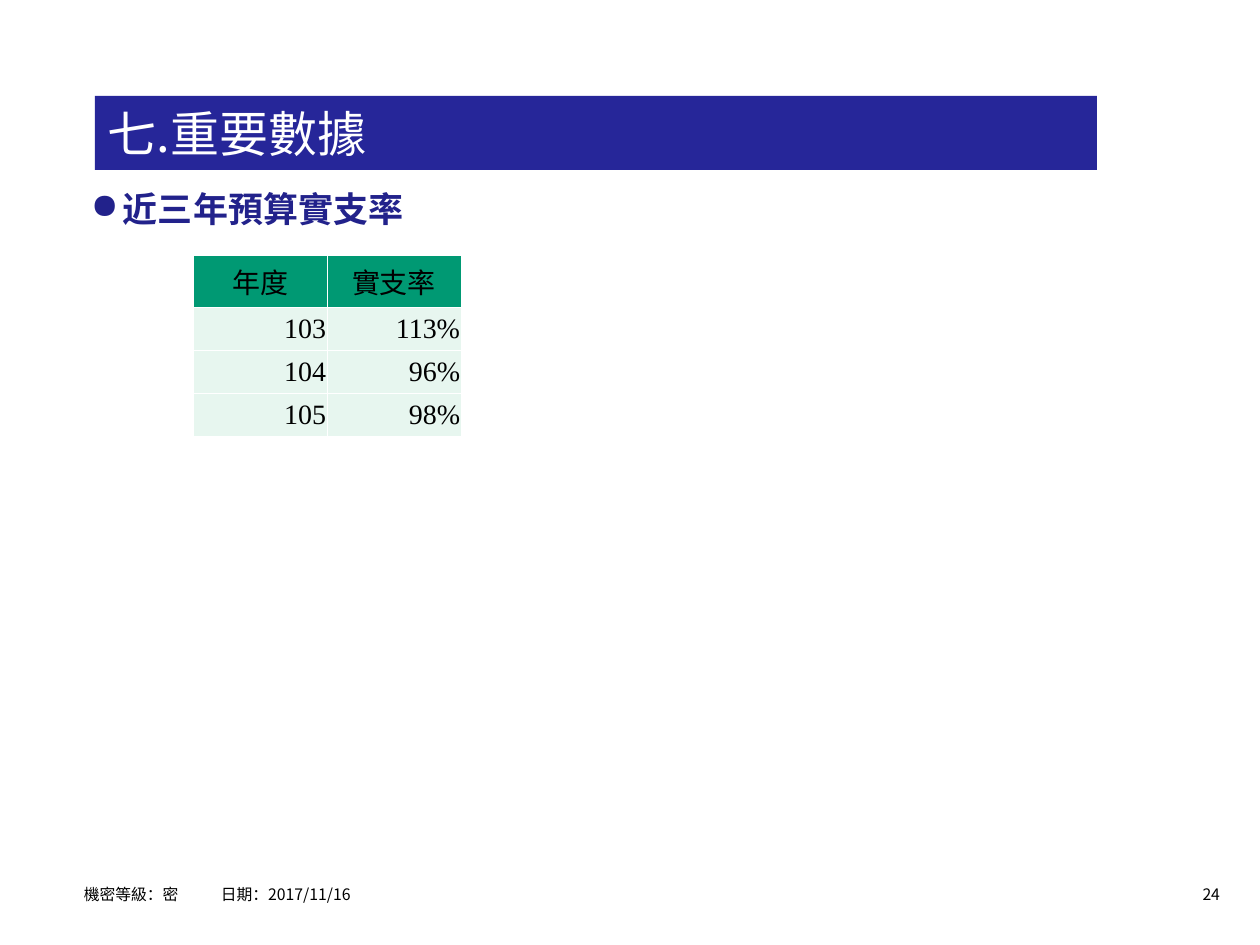
from dataclasses import dataclass, field

import pptx
import pptx.dml.color
import pptx.enum.text
import pptx.oxml.ns
import pptx.util
from lxml import etree

RGB = pptx.dml.color.RGBColor
ALIGN = pptx.enum.text.PP_ALIGN
ANCHOR = pptx.enum.text.MSO_ANCHOR
qn = pptx.oxml.ns.qn

BLACK = RGB(0x00, 0x00, 0x00)
WHITE = RGB(0xFF, 0xFF, 0xFF)
NAVY = RGB(0x22, 0x22, 0x8B)
TITLE_BLUE = RGB(0x26, 0x26, 0x99)
GREEN = RGB(0x00, 0x99, 0x73)
MINT = RGB(0xE7, 0xF6, 0xEF)

SANS = "Noto Sans CJK SC"
SERIF = "Times New Roman"
PX_PER_INCH = 126


def px(n: int) -> pptx.util.Emu:
    return pptx.util.Emu(round(n * 914400 / PX_PER_INCH))


@dataclass
class Style:
    size: int
    color: RGB = BLACK
    font: str = SANS
    bold: bool = False
    para: dict = field(default_factory=dict)


@dataclass
class TextBox:
    text: str
    box: tuple[int, int, int, int]
    style: Style
    left_inset: int = 13
    bullet: str = ""
    indent: int = 0
    tab: int = 0


def set_attrs(obj, values: dict) -> None:
    for name, value in values.items():
        setattr(obj, name, value)


def write(p, text: str, style: Style) -> None:
    set_attrs(p, style.para)
    r = p.add_run()
    r.text = text
    set_attrs(r.font, {"size": pptx.util.Pt(style.size), "bold": style.bold,
                       "name": style.font})
    r.font.color.rgb = style.color
    etree.SubElement(r.font._element, qn("a:ea"), typeface=SANS)


def set_frame(tf, left_inset: int = 13) -> None:
    set_attrs(tf, {"word_wrap": True,
                   "auto_size": pptx.enum.text.MSO_AUTO_SIZE.NONE,
                   "margin_left": px(left_inset), "margin_right": px(13),
                   "margin_top": px(6), "margin_bottom": px(6)})


def add_text(slide, item: TextBox) -> None:
    tf = slide.shapes.add_textbox(*map(px, item.box)).text_frame
    set_frame(tf, item.left_inset)
    p = tf.paragraphs[0]
    pPr = p._p.get_or_add_pPr()
    if item.bullet:
        pPr.set("marL", str(px(item.indent)))
        pPr.set("indent", str(-px(item.indent)))
        etree.SubElement(pPr, qn("a:buChar"), char=item.bullet)
    if item.tab:
        tabs = etree.SubElement(pPr, qn("a:tabLst"))
        etree.SubElement(tabs, qn("a:tab"), pos=str(px(item.tab)), algn="l")
    write(p, item.text, item.style)


def add_borders(cell, color: RGB, width: float) -> None:
    tcPr = cell._tc.get_or_add_tcPr()
    for i, side in enumerate(("lnL", "lnR", "lnT", "lnB")):
        ln = etree.Element(qn(f"a:{side}"), w=str(pptx.util.Pt(width)))
        fill = etree.SubElement(ln, qn("a:solidFill"))
        etree.SubElement(fill, qn("a:srgbClr"), val=str(color))
        tcPr.insert(i, ln)


def add_rate_table(slide, rows: list[tuple[str, str]]) -> None:
    col_w, row_h = 134, 37
    n_cols = len(rows[0])
    table = slide.shapes.add_table(
        len(rows), n_cols, px(193), px(255),
        px(col_w * n_cols), px(row_h * len(rows))).table
    for i, row in enumerate(rows):
        align, color = (ALIGN.RIGHT, MINT) if i else (ALIGN.CENTER, GREEN)
        style = Style(16, font=SERIF, para={"alignment": align})
        for j, text in enumerate(row):
            cell = table.cell(i, j)
            set_attrs(cell, {"margin_left": px(1), "margin_right": px(1),
                             "margin_top": px(6), "margin_bottom": px(6),
                             "vertical_anchor": ANCHOR.MIDDLE})
            cell.fill.solid()
            cell.fill.fore_color.rgb = color
            add_borders(cell, WHITE, 0.45)
            write(cell.text_frame.paragraphs[0], text, style)


def add_title(slide, text: str) -> None:
    sp = slide.shapes.title
    set_attrs(sp, dict(zip(("left", "top", "width", "height"),
                           map(px, (95, 96, 1002, 74)))))
    sp.fill.solid()
    sp.fill.fore_color.rgb = TITLE_BLUE
    set_frame(sp.text_frame)
    sp.text_frame.vertical_anchor = ANCHOR.MIDDLE
    write(sp.text_frame.paragraphs[0], text,
          Style(28, WHITE, para={"alignment": ALIGN.LEFT}))


TEXTS = [
    # Page number
    TextBox("24", (1147, 879, 86, 32), Style(9, para={"alignment": ALIGN.RIGHT})),
    # Section heading
    TextBox("近三年預算實支率", (78, 181, 1101, 688), Style(20, NAVY, bold=True),
            bullet="●", indent=32),
    # Footer
    TextBox("機密等級：密\t日期：2017/11/16", (84, 869, 935, 39),
            Style(9, para={"line_spacing": 1.5}), left_inset=0, tab=137),
]

RATES = [("年度", "實支率"), ("103", "113%"), ("104", "96%"), ("105", "98%")]


def main() -> None:
    prs = pptx.Presentation()
    prs.slide_width, prs.slide_height = px(1260), px(945)
    slide = prs.slides.add_slide(prs.slide_layouts[5])
    add_title(slide, "七.重要數據")
    for item in TEXTS:
        add_text(slide, item)
    add_rate_table(slide, RATES)
    prs.save("out.pptx")


if __name__ == "__main__":
    main()
